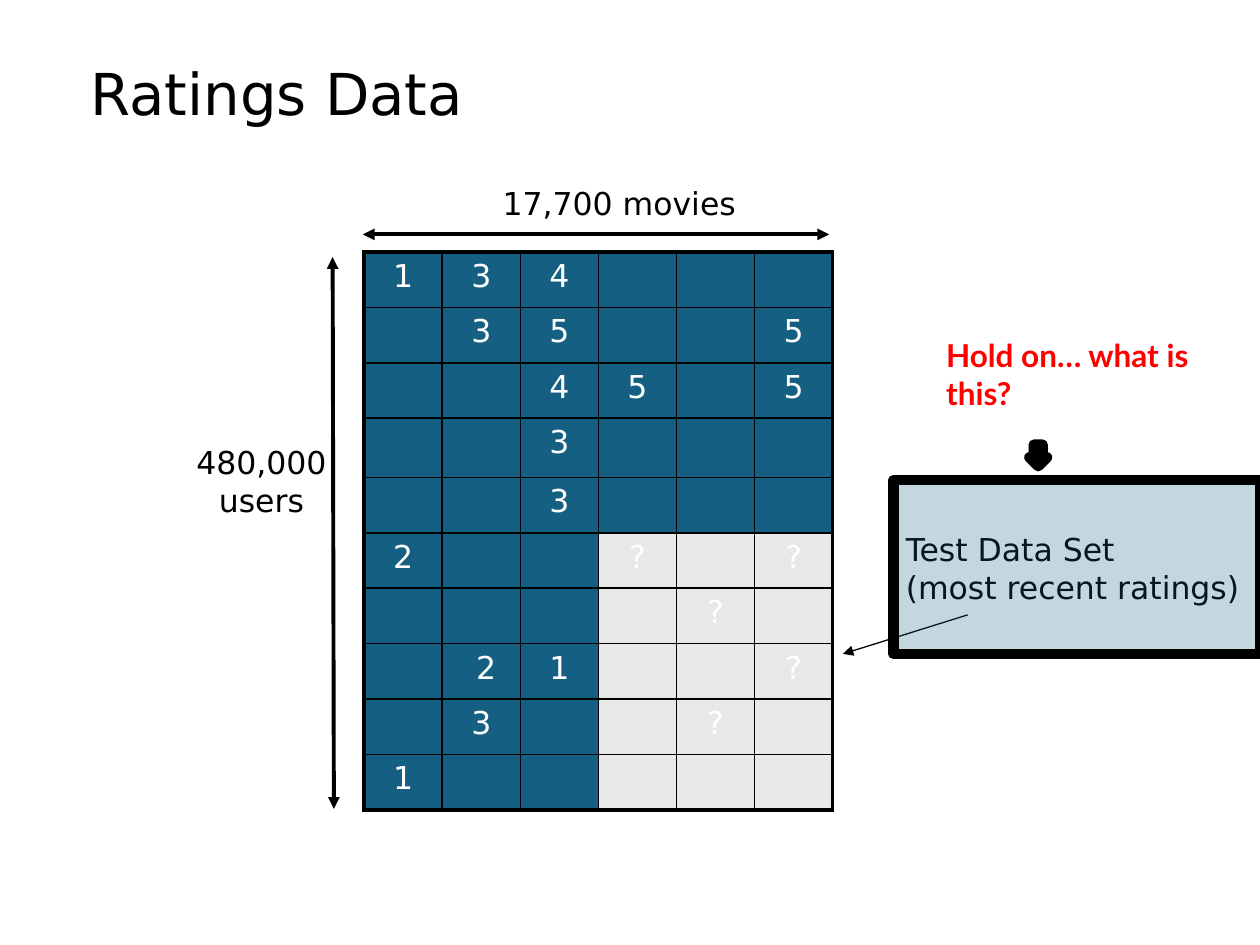
from lxml import etree
from pptx import Presentation
from pptx.dml.color import RGBColor
from pptx.enum.shapes import MSO_CONNECTOR, MSO_SHAPE
from pptx.enum.text import MSO_ANCHOR, MSO_AUTO_SIZE, PP_ALIGN
from pptx.oxml.ns import qn
from pptx.util import Inches, Pt

STRAIGHT = MSO_CONNECTOR.STRAIGHT
RECTANGLE, DOWN_ARROW = MSO_SHAPE.RECTANGLE, MSO_SHAPE.DOWN_ARROW
LEFT, CENTER = PP_ALIGN.LEFT, PP_ALIGN.CENTER
MIDDLE = MSO_ANCHOR.MIDDLE
FIT_SHAPE = MSO_AUTO_SIZE.SHAPE_TO_FIT_TEXT

BLACK, WHITE, RED = "000000", "FFFFFF", "FF0000"
BLUE, GRAY = "156082", "E8E8E8"
BODY = {"name": "DejaVu Sans", "size": Pt(18)}
TITLE = {"name": "DejaVu Sans", "size": Pt(33)}
QUESTION = {"name": "Lato", "size": Pt(18), "bold": True}

RATINGS = [
    ["1", "3", "4", "", "", ""],
    ["", "3", "5", "", "", "5"],
    ["", "", "4", "5", "", "5"],
    ["", "", "3", "", "", ""],
    ["", "", "3", "", "", ""],
    ["2", "", "", "?", "", "?"],
    ["", "", "", "", "?", ""],
    ["", " 2", "1", "", "", "?"],
    ["", "3", "", "", "?", ""],
    ["1", "", "", "", "", ""],
]
ROW_HEIGHTS = [0.44] * 3 + [0.47] + [0.44] * 6
COLUMN_WIDTH = 0.62
TEST_ROW, TEST_COLUMN = 5, 3
THIN, THICK = 1, 2.25


def rgb(color):
    return RGBColor.from_string(color)


def inches(values):
    return [Inches(value) for value in values]


def format_paragraph(paragraph, font_format, color=BLACK, align=LEFT):
    paragraph.alignment = align
    for name, value in font_format.items():
        setattr(paragraph.font, name, value)
        for run in paragraph.runs:
            setattr(run.font, name, value)
    for run in paragraph.runs:
        run.font.color.rgb = rgb(color)


def add_title(slide, text):
    title = slide.shapes.title
    title.left, title.top, title.width, title.height = inches((0.62, 0.43, 8.5, 0.67))
    title.text_frame.text = text
    title.text_frame.vertical_anchor = MIDDLE
    paragraph = title.text_frame.paragraphs[0]
    paragraph.line_spacing = 0.9
    format_paragraph(paragraph, TITLE)


def add_text(slide, box, text, font_format=BODY, color=BLACK, align=LEFT, wrap=True):
    frame = slide.shapes.add_textbox(*inches(box)).text_frame
    frame.word_wrap = wrap
    frame.auto_size = FIT_SHAPE
    frame.text = text
    for paragraph in frame.paragraphs:
        format_paragraph(paragraph, font_format, color, align)


def set_borders(cell, widths):
    """Draw black cell borders; widths maps side tags to points."""
    properties = cell._tc.get_or_add_tcPr()
    for position, (side, width) in enumerate(widths.items()):
        border = etree.Element(qn(f"a:{side}"), w=str(Pt(width)))
        fill = etree.SubElement(border, qn("a:solidFill"))
        etree.SubElement(fill, qn("a:srgbClr"), val=BLACK)
        properties.insert(position, border)


def add_ratings_table(slide):
    row_count, column_count = len(RATINGS), len(RATINGS[0])
    box = (2.89, 2, COLUMN_WIDTH * column_count, sum(ROW_HEIGHTS))
    table = slide.shapes.add_table(row_count, column_count, *inches(box)).table
    for column in table.columns:
        column.width = Inches(COLUMN_WIDTH)
    for row, height in zip(table.rows, ROW_HEIGHTS):
        row.height = Inches(height)
    for row, ratings in enumerate(RATINGS):
        for column, rating in enumerate(ratings):
            cell = table.cell(row, column)
            is_test = row >= TEST_ROW and column >= TEST_COLUMN
            cell.fill.solid()
            cell.fill.fore_color.rgb = rgb(GRAY if is_test else BLUE)
            cell.text = rating
            paragraph = cell.text_frame.paragraphs[0]
            paragraph.space_before = Pt(3.6)
            format_paragraph(paragraph, BODY, WHITE, CENTER)
            set_borders(cell, {
                "lnL": THICK if column == 0 else THIN,
                "lnR": THICK if column == column_count - 1 else THIN,
                "lnT": THICK if row == 0 else THIN,
                "lnB": THICK if row == row_count - 1 else THIN,
            })


def add_arrow(slide, start, end, width, ends):
    """Add a line with a triangle at each of the given ends (headEnd, tailEnd)."""
    arrow = slide.shapes.add_connector(STRAIGHT, *inches(start + end))
    arrow.line.color.rgb = rgb(BLACK)
    arrow.line.width = Pt(width)
    line = arrow.line._get_or_add_ln()
    for tag in ends:
        etree.SubElement(line, qn(f"a:{tag}"), type="triangle")
    etree.SubElement(arrow._element.spPr, qn("a:effectLst"))


def add_outlined_shape(slide, kind, box, opacity=None):
    shape = slide.shapes.add_shape(kind, *inches(box))
    shape.shadow.inherit = False
    shape.fill.solid()
    shape.fill.fore_color.rgb = rgb(BLUE)
    shape.line.color.rgb = rgb(BLACK)
    shape.line.width = Pt(6)
    if opacity is not None:
        color = shape._element.spPr.find(qn("a:solidFill"))[0]
        etree.SubElement(color, qn("a:alpha"), val=str(opacity * 1000))


def main():
    presentation = Presentation()
    presentation.slide_width, presentation.slide_height = inches((10, 7.5))
    slide = presentation.slides.add_slide(presentation.slide_layouts[5])

    add_title(slide, "Ratings Data")
    add_ratings_table(slide)
    add_text(slide, (7.09, 4.16, 2.91, 0.71),
             "Test Data Set\n(most recent ratings)", wrap=False)
    add_text(slide, (1.1, 3.47, 1.95, 0.7), "480,000\nusers", align=CENTER)
    both_ends = ("headEnd", "tailEnd")
    add_arrow(slide, (2.64, 2.04), (2.65, 6.42), THICK, both_ends)
    add_arrow(slide, (2.88, 1.86), (6.58, 1.86), THICK, both_ends)
    add_arrow(slide, (7.68, 4.88), (6.69, 5.19), 0.75, ("tailEnd",))
    add_text(slide, (3.89, 1.41, 2.08, 0.4), "17,700 movies", wrap=False)
    add_outlined_shape(slide, RECTANGLE, (7.09, 3.81, 2.91, 1.38), opacity=25)
    add_text(slide, (7.41, 2.62, 2.28, 0.91), "Hold on… what is this?", QUESTION, RED)
    add_outlined_shape(slide, DOWN_ARROW, (8.17, 3.53, 0.14, 0.17))

    presentation.save("out.pptx")


if __name__ == "__main__":
    main()
